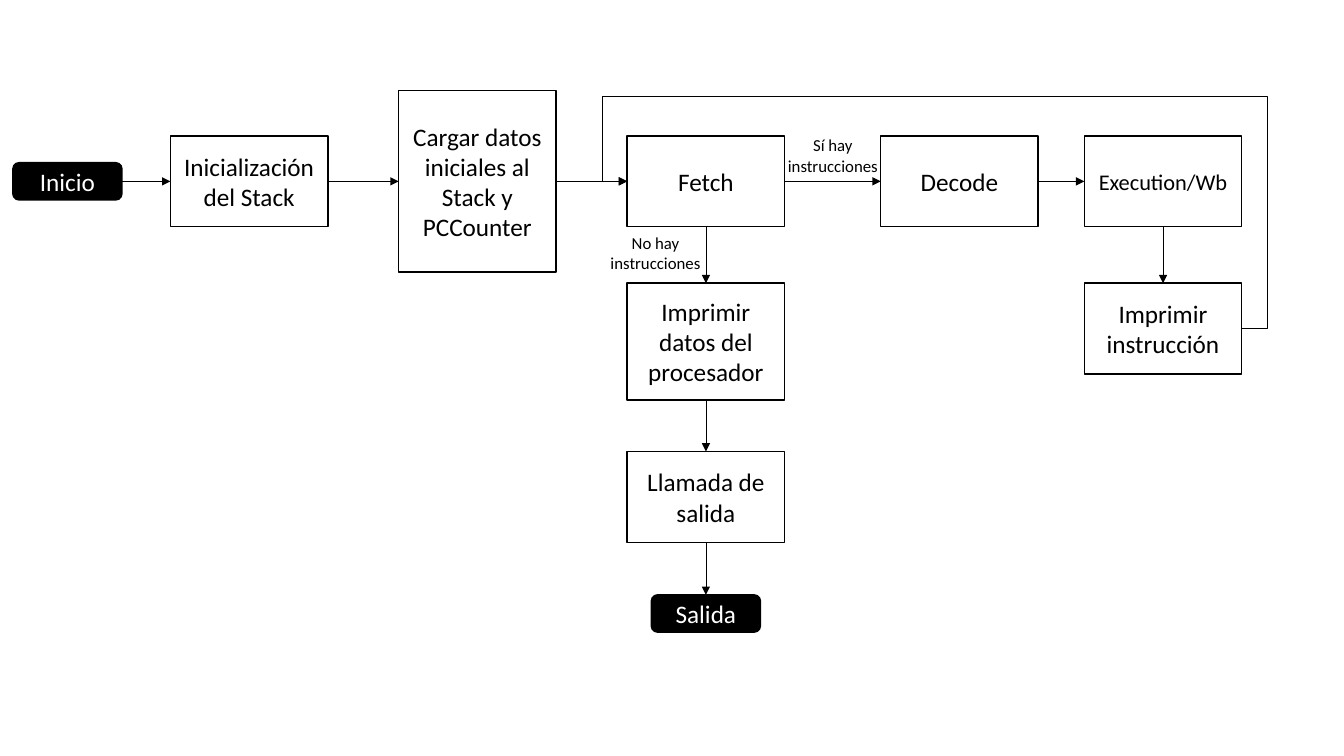
from dataclasses import dataclass

from lxml import etree
from pptx import Presentation
from pptx.dml.color import RGBColor
from pptx.enum.shapes import MSO_CONNECTOR, MSO_SHAPE
from pptx.enum.text import MSO_ANCHOR, MSO_AUTO_SIZE, PP_ALIGN
from pptx.oxml.ns import qn
from pptx.util import Cm, Pt

RECT, ROUNDED = MSO_SHAPE.RECTANGLE, MSO_SHAPE.ROUNDED_RECTANGLE
STRAIGHT, ELBOW = MSO_CONNECTOR.STRAIGHT, MSO_CONNECTOR.ELBOW
MIDDLE, CENTER = MSO_ANCHOR.MIDDLE, PP_ALIGN.CENTER
GROW = MSO_AUTO_SIZE.SHAPE_TO_FIT_TEXT
TOP, LEFT, BOTTOM, RIGHT = range(4)


@dataclass(frozen=True)
class Theme:
    black = RGBColor(0, 0, 0)
    white = RGBColor(255, 255, 255)
    font = "Calibri"
    body = Pt(18)
    compact = Pt(16)
    label = Pt(12)
    outline = Pt(1)
    arrow = Pt(0.5)


theme = Theme()


def write(tf, text, size, color):
    tf.word_wrap = True
    tf.text = text
    for p in tf.paragraphs:
        p.alignment = CENTER
        p.font.name = theme.font
        p.font.size = size
        p.font.color.rgb = color


def add_arrow(kind, start, start_side, end, end_side):
    """Join two steps with a thin line that ends in a triangle."""
    cxn = s.shapes.add_connector(kind, 0, 0, 0, 0)
    cxn.begin_connect(start, start_side)
    cxn.end_connect(end, end_side)
    cxn.line.color.rgb = theme.black
    cxn.line.width = theme.arrow
    etree.SubElement(cxn.line._get_or_add_ln(), qn("a:tailEnd"), type="triangle")
    etree.SubElement(cxn._element.spPr, qn("a:effectLst"))
    return cxn


prs = Presentation()
prs.slide_width, prs.slide_height = Cm(33.87), Cm(19.05)
s = prs.slides.add_slide(prs.slide_layouts[6])

# Steps: name, text, centre x, centre y, height
STEP_W, STEP_H, END_W, END_H = 3.97, 2.29, 2.75, 0.94
MAIN_Y, FETCH_X, EXEC_X = 4.57, 17.79, 29.31
steps = [
    ("init", "Inicialización del Stack", 6.28, MAIN_Y, STEP_H),
    ("load", "Cargar datos iniciales al Stack y\nPCCounter", 12.03, MAIN_Y, 2 * STEP_H),
    ("fetch", "Fetch", FETCH_X, MAIN_Y, STEP_H),
    ("decode", "Decode", 24.18, MAIN_Y, STEP_H),
    ("execute", "Execution/Wb", EXEC_X, MAIN_Y, STEP_H),
    ("print_instruction", "Imprimir instrucción", EXEC_X, 8.28, STEP_H),
    ("print_data", "Imprimir datos del procesador", FETCH_X, 8.61, 2.95),
    ("exit_call", "Llamada de salida", FETCH_X, 12.52, STEP_H),
    ("start", "Inicio", 1.7, MAIN_Y, END_H),
    ("end", "Salida", FETCH_X, 15.46, END_H),
]
nodes = {}
for name, text, x, y, h in steps:
    terminal = name in ("start", "end")
    w = END_W if terminal else STEP_W
    sp = s.shapes.add_shape(ROUNDED if terminal else RECT,
                            Cm(x - w / 2), Cm(y - h / 2), Cm(w), Cm(h))
    sp.shadow.inherit = False
    sp.fill.solid()
    sp.fill.fore_color.rgb = theme.black if terminal else theme.white
    sp.line.color.rgb = theme.black
    sp.line.width = theme.outline
    sp.text_frame.vertical_anchor = MIDDLE
    write(sp.text_frame, text, theme.compact if name == "execute" else theme.body,
          theme.white if terminal else theme.black)
    nodes[name] = sp

# Straight flows: across the main row, then down the two columns
flows = [
    (("start", "init", "load", "fetch", "decode", "execute"), RIGHT, LEFT),
    (("fetch", "print_data", "exit_call", "end"), BOTTOM, TOP),
    (("execute", "print_instruction"), BOTTOM, TOP),
]
for chain, out_side, in_side in flows:
    for start, end in zip(chain, chain[1:]):
        add_arrow(STRAIGHT, nodes[start], out_side, nodes[end], in_side)

# Loop back to Fetch, routed above the main row
loop = add_arrow(ELBOW, nodes["print_instruction"], RIGHT, nodes["fetch"], LEFT)
geom = loop._element.spPr.find(qn("a:prstGeom"))
geom.set("prst", "bentConnector5")
guides = geom.get_or_add_avLst()
for i, value in enumerate((-4100, 157500, 104100), start=1):
    etree.SubElement(guides, qn("a:gd"), name=f"adj{i}", fmla=f"val {value}")

# Branch labels
for text, x, y in (("No hay instrucciones", 15.01, 5.74),
                   ("Sí hay instrucciones", 19.48, 3.28)):
    tb = s.shapes.add_textbox(Cm(x), Cm(y), Cm(3.02), Cm(1.28))
    write(tb.text_frame, text, theme.label, theme.black)
    tb.text_frame.auto_size = GROW

prs.save("out.pptx")
